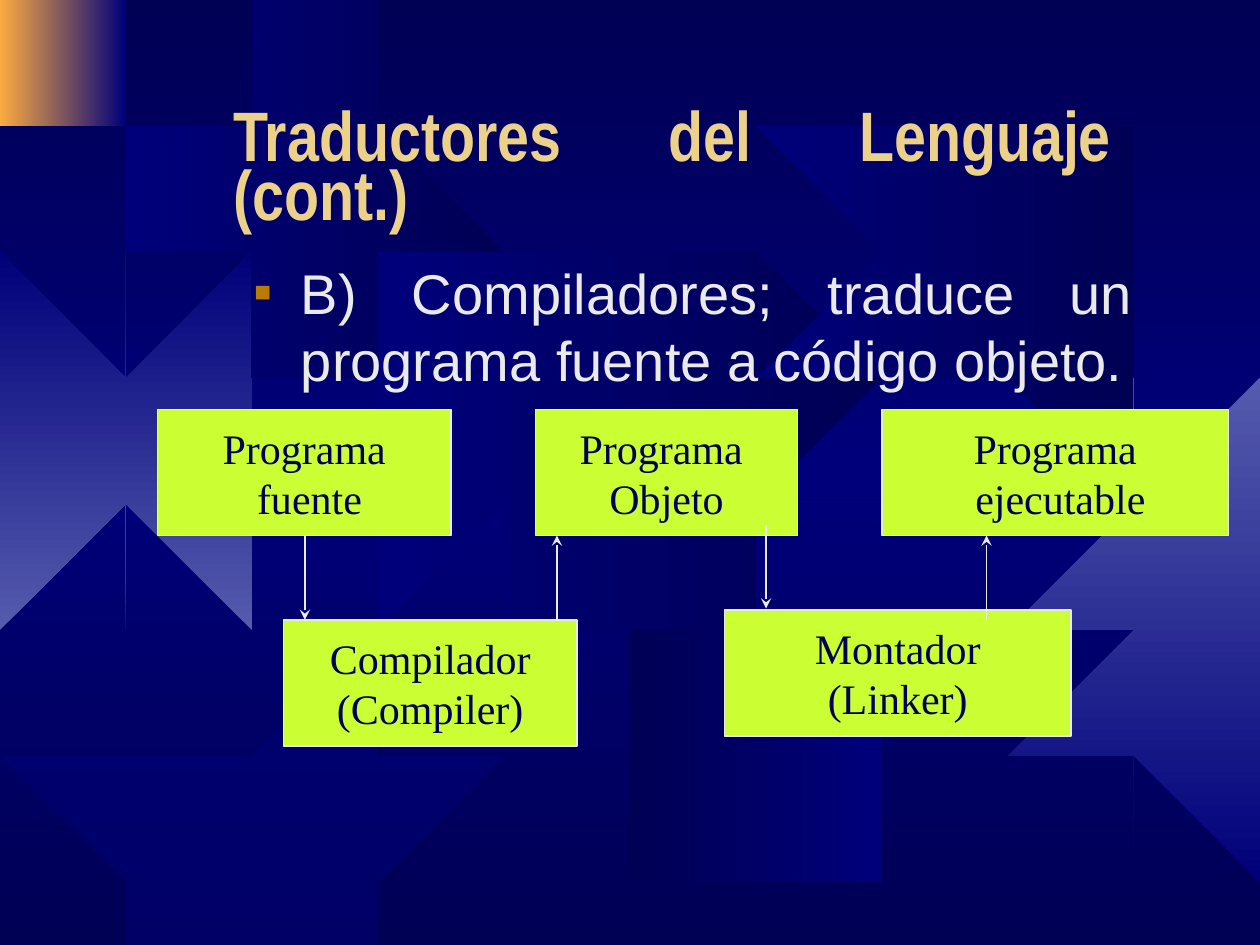
from copy import deepcopy
from dataclasses import dataclass

from lxml import etree
from pptx import Presentation, util as u
from pptx.dml.color import RGBColor
from pptx.enum import shapes, text
from pptx.oxml.ns import qn

NAVY, BLUE, HAZE, AMBER = "000054", "00007A", "555BAD", "FCAB40"
LIME, PALE, GOLD, RUST = "CCFF33", "EAEAEA", "EBD189", "B97C01"
Point = tuple[float, float]

# Gear outline on a 4.01 inch square
SIDE = 4.01
TEETH: list[Point] = [
    (2.55, 0.67), (2.23, 0.59), (2.19, 0), (1.8, 0.03), (1.77, 0.59), (1.51, 0.68),
    (1.13, 0.2), (0.87, 0.35), (1.12, 0.88), (0.94, 1.06), (0.38, 0.85), (0.25, 1.07),
    (0.68, 1.45), (0.61, 1.74), (0.01, 1.78), (0, 2.1), (0.61, 2.19), (0.67, 2.46),
    (0.22, 2.87), (0.38, 3.12), (0.88, 2.88), (1.07, 3.07), (0.81, 3.55), (1.06, 3.75),
    (1.51, 3.32), (1.77, 3.4), (1.83, 4), (2.22, 4.01), (2.26, 3.39), (2.59, 3.3),
    (2.99, 3.74), (3.25, 3.58), (2.99, 3.06), (3.16, 2.84), (3.68, 3.09), (3.84, 2.81),
    (3.36, 2.46), (3.42, 2.16), (4.01, 2.1), (4, 1.8), (3.41, 1.71), (3.35, 1.48),
    (3.83, 1.14), (3.67, 0.87), (3.13, 1.09), (2.96, 0.91), (3.23, 0.41), (2.97, 0.25),
]
# Axis, limit and the sign of the side to keep
EDGES = [(0, 0, 1), (0, 10, -1), (1, 0.02, 1), (1, 7.5, -1)]


@dataclass
class Gear:
    left: float
    top: float
    size: float
    stops: tuple[str, ...]
    angle: int = 0


@dataclass
class Box:
    label: str
    left: float
    top: float
    width: float


@dataclass
class Arrow:
    x: float
    start: float
    end: float


GEARS = [
    Gear(-0.49, 2.01, 2.96, (HAZE, BLUE), 90),
    Gear(0.12, -0.04, 0.92, (AMBER, BLUE)),
    Gear(1.3, 0.39, 2.48, (NAVY, BLUE), 180),
    Gear(2.77, 1.39, 4.01, (BLUE, NAVY)),
    Gear(0, 5.25, 3.74, (BLUE,)),
    Gear(4.91, 4.84, 2.48, (NAVY, BLUE)),
    Gear(6.18, 0.53, 3.2, (BLUE, NAVY)),
    Gear(7.82, 2.8, 4.37, (BLUE, HAZE), 90),
]
BOXES = [
    Box("Programa\n fuente", 1.25, 3.25, 2.33),
    Box("Programa \nObjeto", 4.25, 3.25, 2.08),
    Box("Programa\n ejecutable", 7, 3.25, 2.75),
    Box("Compilador\n(Compiler)", 2.25, 4.92, 2.33),
    Box("Montador\n(Linker)", 5.75, 4.84, 2.75),
]
ARROWS = [
    Arrow(2.42, 4.25, 4.92),
    Arrow(6.08, 4.17, 4.83),
    Arrow(4.42, 4.92, 4.25),
    Arrow(7.83, 4.92, 4.25),
]


def rgb(code: str) -> RGBColor:
    return RGBColor.from_string(code)


def add_tag(node, name: str, **attrs: str):
    return etree.SubElement(node, qn(name), attrs)


def blend(fill, root, stops: tuple[str, ...], angle: int) -> None:
    """Give a fill evenly spaced gradient stops; root is the element holding it."""
    fill.gradient()
    fill.gradient_angle = angle
    items = next(root.iter(qn("a:gsLst")))
    while len(items) < len(stops):
        items.append(deepcopy(items[-1]))
    for i, (stop, code) in enumerate(zip(fill.gradient_stops, stops)):
        stop.position = i / (len(stops) - 1)
        stop.color.rgb = rgb(code)


def clip(points: list[Point], axis: int, limit: float, sign: int) -> list[Point]:
    """Cut a polygon along one edge of the slide."""
    kept = []
    for a, b in zip(points[-1:] + points[:-1], points):
        da, db = ((p[axis] - limit) * sign for p in (a, b))
        if (da < 0) != (db < 0):
            t = da / (da - db)
            kept.append((a[0] + t * (b[0] - a[0]), a[1] + t * (b[1] - a[1])))
        if db >= 0:
            kept.append(b)
    return kept


def draw_gear(slide, gear: Gear) -> None:
    k = gear.size / SIDE
    points = [(gear.left + x * k, gear.top + y * k) for x, y in TEETH]
    for edge in EDGES:
        points = clip(points, *edge)
    pen = slide.shapes.build_freeform(*points[0], scale=u.Inches(1))
    pen.add_line_segments(points[1:], close=True)
    shape = pen.convert_to_shape()
    shape.shadow.inherit = False
    shape.line.fill.background()
    if len(gear.stops) > 1:
        blend(shape.fill, shape._element, gear.stops, gear.angle)
    else:
        shape.fill.solid()
        shape.fill.fore_color.rgb = rgb(gear.stops[0])
        tint = next(shape._element.spPr.iter(qn("a:srgbClr")))
        add_tag(tint, "a:alpha", val="50000")


def style(frame, font: str, size: int, color: str, align, bold: bool = False) -> None:
    for para in frame.paragraphs:
        para.alignment = align
        for run in para.runs:
            run.font.name = font
            run.font.size = u.Pt(size)
            run.font.bold = bold
            run.font.color.rgb = rgb(color)


def draw_title(slide) -> None:
    title = slide.shapes.title
    title.left, title.top = u.Inches(1.75), u.Inches(0.75)
    title.width, title.height = u.Inches(7.17), u.Inches(1.25)
    frame = title.text_frame
    frame.text = "Traductores del Lenguaje (cont.)"
    frame.auto_size = text.MSO_AUTO_SIZE.NONE
    frame.vertical_anchor = text.MSO_ANCHOR.MIDDLE
    frame.paragraphs[0].line_spacing = 0.7
    style(frame, "Arial Narrow", 40, GOLD, text.PP_ALIGN.JUSTIFY, True)
    slide.shapes._spTree.append(title._element)  # in front of the gears


def draw_body(slide) -> None:
    area = map(u.Inches, (1.92, 2, 7.17, 1.17))
    frame = slide.shapes.add_textbox(*area).text_frame
    frame.word_wrap = True
    frame.text = "B) Compiladores; traduce un programa fuente a código objeto."
    props = frame.paragraphs[0]._p.get_or_add_pPr()
    props.set("marL", str(u.Inches(0.37)))
    props.set("indent", str(u.Inches(-0.37)))
    add_tag(add_tag(props, "a:buClr"), "a:srgbClr", val=RUST)
    add_tag(props, "a:buSzPct", val="50000")
    add_tag(props, "a:buFont", typeface="Arial")
    add_tag(props, "a:buChar", char="■")
    style(frame, "Arial", 32, PALE, text.PP_ALIGN.JUSTIFY)


def draw_box(slide, box: Box) -> None:
    area = map(u.Inches, (box.left, box.top, box.width, 1))
    shape = slide.shapes.add_shape(shapes.MSO_SHAPE.RECTANGLE, *area)
    shape.shadow.inherit = False
    shape.fill.solid()
    shape.fill.fore_color.rgb = rgb(LIME)
    shape.line.color.rgb = rgb(PALE)
    shape.line.width = u.Pt(1)
    frame = shape.text_frame
    frame.word_wrap = False
    frame.vertical_anchor = text.MSO_ANCHOR.MIDDLE
    frame.text = box.label
    style(frame, "Times New Roman", 24, NAVY, text.PP_ALIGN.CENTER)


def draw_arrow(slide, arrow: Arrow) -> None:
    ends = map(u.Inches, (arrow.x, arrow.start, arrow.x, arrow.end))
    line = slide.shapes.add_connector(shapes.MSO_CONNECTOR.STRAIGHT, *ends)
    line.line.color.rgb = rgb(PALE)
    line.line.width = u.Pt(1)
    add_tag(line.line._get_or_add_ln(), "a:tailEnd", type="stealth")
    add_tag(line._element.spPr, "a:effectLst")


def main() -> None:
    deck = Presentation()
    deck.slide_width, deck.slide_height = u.Inches(10), u.Inches(7.5)
    slide = deck.slides.add_slide(deck.slide_layouts[5])
    blend(slide.background.fill, slide._element, (NAVY, BLUE, NAVY), 270)
    for gear in GEARS:
        draw_gear(slide, gear)
    draw_title(slide)
    draw_body(slide)
    for box in BOXES:
        draw_box(slide, box)
    for arrow in ARROWS:
        draw_arrow(slide, arrow)
    deck.save("out.pptx")


if __name__ == "__main__":
    main()
